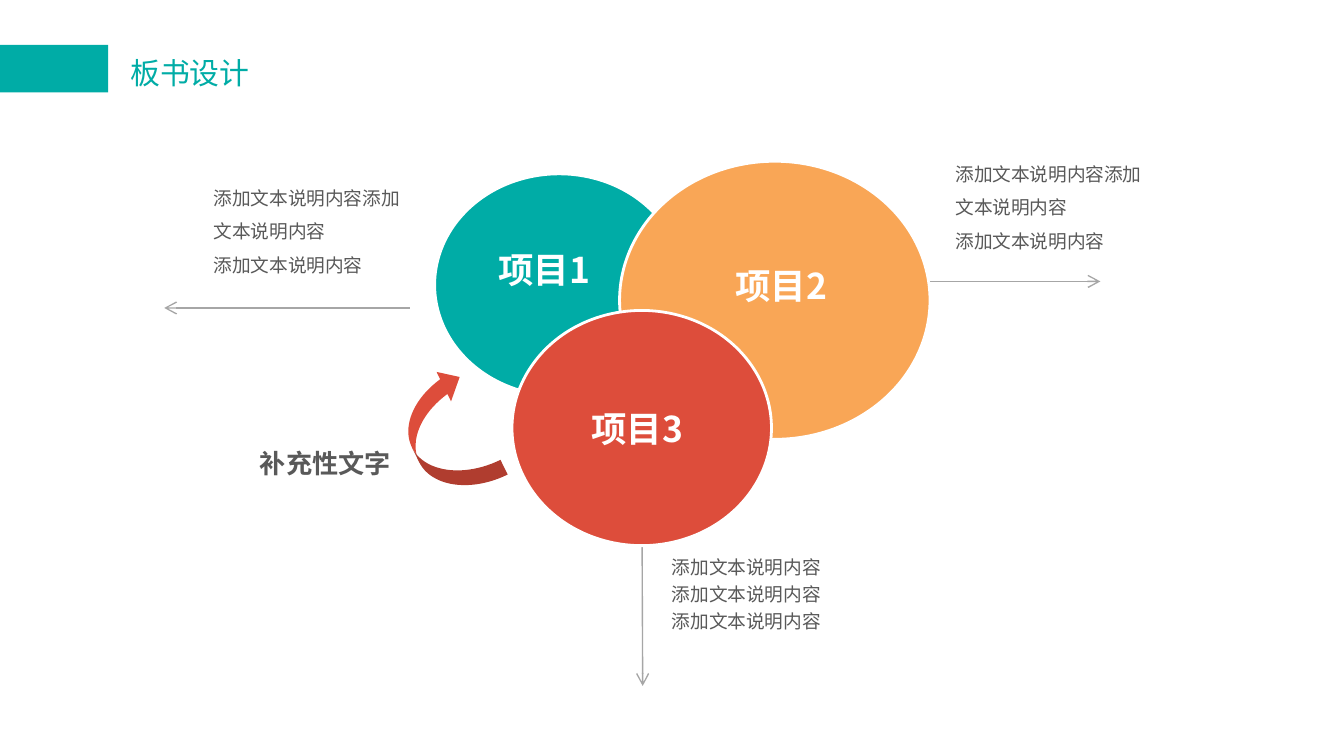
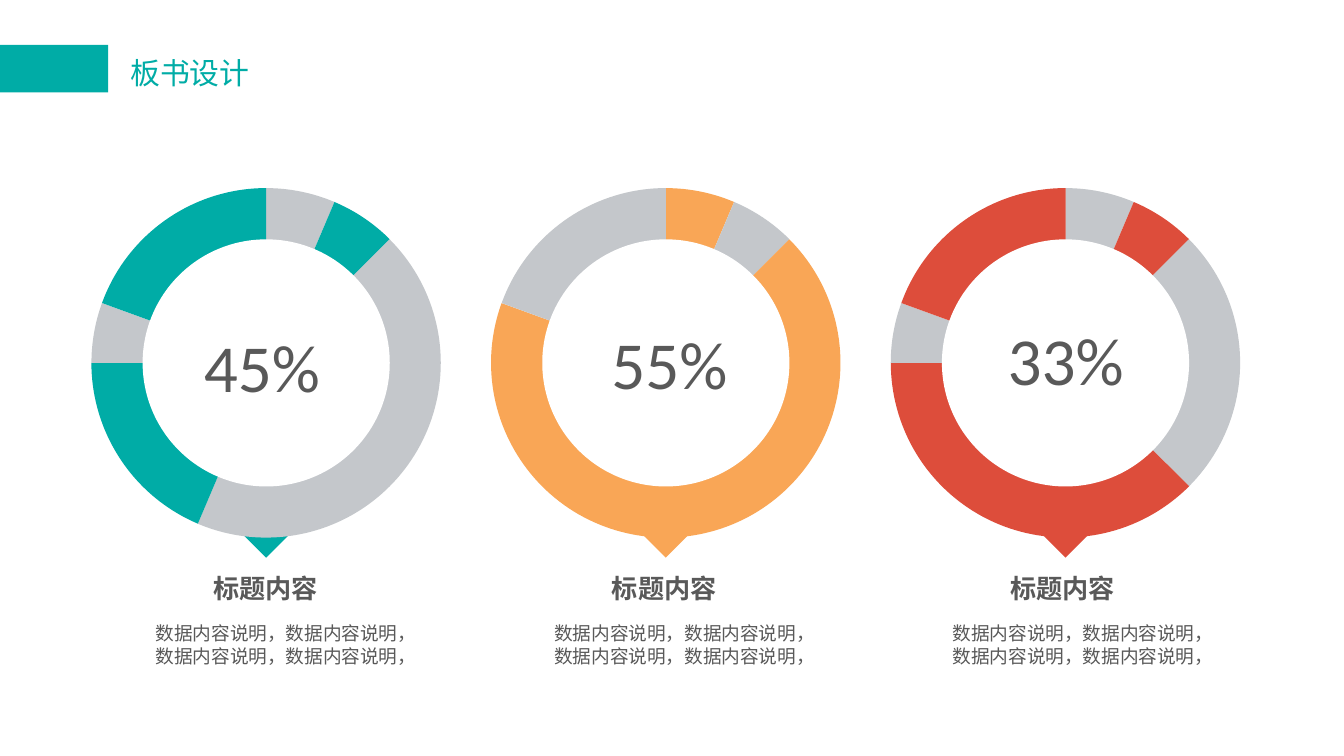
"""Build two slides: overlapping project circles and three ring diagrams."""
from math import cos, radians, sin

from lxml import etree
from pptx import Presentation
from pptx.dml.color import RGBColor
from pptx.enum.shapes import MSO_CONNECTOR, MSO_SHAPE
from pptx.enum.text import MSO_AUTO_SIZE, PP_ALIGN
from pptx.oxml.ns import qn
from pptx.util import Pt

RECT, OVAL, DIAMOND = MSO_SHAPE.RECTANGLE, MSO_SHAPE.OVAL, MSO_SHAPE.DIAMOND
CURVED_ARROW = MSO_SHAPE.CURVED_LEFT_ARROW
STRAIGHT = MSO_CONNECTOR.STRAIGHT
LEFT, CENTER = PP_ALIGN.LEFT, PP_ALIGN.CENTER
NO_FIT = MSO_AUTO_SIZE.NONE

TEAL = RGBColor(0x00, 0xAC, 0xA6)
ORANGE = RGBColor(0xF9, 0xA6, 0x56)
RED = RGBColor(0xDD, 0x4D, 0x3B)
SILVER = RGBColor(0xC4, 0xC7, 0xCB)
LINE_GRAY = RGBColor(0xA6, 0xA6, 0xA6)
TEXT_GRAY = RGBColor(0x59, 0x59, 0x59)
WHITE = RGBColor(0xFF, 0xFF, 0xFF)
CALIBRI, LATO, NOTO = "Calibri", "Lato", "Noto Sans CJK SC"


def paint(sp, fill, line_width=0):
    sp.shadow.inherit = False
    sp.fill.solid()
    sp.fill.fore_color.rgb = fill
    if line_width:
        sp.line.color.rgb = WHITE
        sp.line.width = Pt(line_width)
    else:
        sp.line.fill.background()


def add_text(s, box, text, size, font, color=TEXT_GRAY, bold=False,
             align=LEFT, spacing=None, inset=6.5, wrap=True):
    tf = s.shapes.add_textbox(*map(Pt, box)).text_frame
    tf.word_wrap = wrap
    tf.auto_size = NO_FIT
    tf.margin_left = tf.margin_right = Pt(inset)
    tf.margin_top = tf.margin_bottom = Pt(inset / 2)
    tf.text = text
    for p in tf.paragraphs:
        p.alignment = align
        p.line_spacing = spacing
        for r in p.runs:
            r.font.size = Pt(size)
            r.font.name = font
            r.font.bold = bold
            r.font.color.rgb = color


prs = Presentation()
prs.slide_width, prs.slide_height = Pt(720), Pt(405)
projects, rings = [prs.slides.add_slide(prs.slide_layouts[6]) for _ in range(2)]

for s in (projects, rings):
    band = s.shapes.add_shape(RECT, 0, Pt(24), Pt(58), Pt(25.5))
    paint(band, TEAL)
    add_text(s, (64, 26.6, 75.6, 25.2), "板书设计", 16, CALIBRI, TEAL, inset=5.8, wrap=False)

for x1, y1, x2, y2 in [(469.5, 150.8, 589.5, 150.8), (344, 292.3, 344.3, 367.5),
                       (219.6, 165, 88, 165)]:
    arrow = projects.shapes.add_connector(STRAIGHT, Pt(x1), Pt(y1), Pt(x2), Pt(y2))
    arrow.line.color.rgb = LINE_GRAY
    arrow.line.width = Pt(0.75)
    etree.SubElement(arrow.line._get_or_add_ln(), qn("a:tailEnd"), type="arrow")
    etree.SubElement(arrow._element.spPr, qn("a:effectLst"))

for box, color, line_width in [((232.6, 92.9, 133.9, 119.5), TEAL, 2),
                               ((331.9, 86.4, 166.3, 149), ORANGE, 1.5),
                               ((274.3, 166.3, 139, 126), RED, 1.5)]:
    paint(projects.shapes.add_shape(OVAL, *map(Pt, box)), color, line_width)

item = "添加文本说明内容"
for x, y in [(505.4, 77.8), (108, 90.7)]:
    add_text(projects, (x, y, 121.7, 61.2), f"{item}{item}\n{item}", 10, CALIBRI, spacing=1.5)
add_text(projects, (353.5, 292.3, 141.8, 50.4), "\n".join([item] * 3), 10, NOTO, spacing=1.2)
for number, (x, y) in enumerate([(260.6, 129.6), (387.4, 138.2), (310.3, 214.6)], 1):
    add_text(projects, (x, y, 69.1, 29.5), f"项目{number}", 19, NOTO, WHITE, True)

loop_arrow = projects.shapes.add_shape(CURVED_ARROW, Pt(219.6), Pt(199.4), Pt(39.6), Pt(67))
loop_arrow.rotation = 153.8
for i, value in enumerate((0.222, 0.443, 0.25)):
    loop_arrow.adjustments[i] = value
paint(loop_arrow, RED)
add_text(projects, (121, 236.2, 106.6, 23.8), "补充性文字", 14, LATO, bold=True, align=CENTER)

CENTER_Y, OUTER, INNER, TIP = 194.4, 93.6, 66.2, 21.6
RINGS = [
    (TEAL, "45%", 102.2, 170.6,
     [(23, SILVER), (45, TEAL), (203, SILVER), (270, TEAL), (290, SILVER), (360, TEAL)]),
    (ORANGE, "55%", 320.4, 169.2,
     [(23, ORANGE), (45, SILVER), (270, ORANGE), (290, ORANGE), (360, SILVER)]),
    (RED, "33%", 532.8, 167,
     [(23, SILVER), (45, RED), (135, SILVER), (270, RED), (290, SILVER), (360, RED)]),
]
RINGS[1][4].pop(2)
for i, (color, percent, percent_x, percent_y, sectors) in enumerate(RINGS):
    cx = 142.6 + i * 214.1
    tip = rings.shapes.add_shape(DIAMOND, Pt(cx - TIP), Pt(277.2 - TIP), Pt(2 * TIP), Pt(2 * TIP))
    paint(tip, color)
    start = 0
    for end, sector_color in sectors:
        angles = [start, *(a for a in (90, 180, 270) if start < a < end), end]
        builder = rings.shapes.build_freeform(Pt(cx), Pt(CENTER_Y))
        builder.add_line_segments([(Pt(cx + OUTER * sin(radians(a))),
                                    Pt(CENTER_Y - OUTER * cos(radians(a)))) for a in angles])
        sector = builder.convert_to_shape()
        first, *chords = list(sector._element.iter(qn("a:lnTo")))[:len(angles)]
        for chord in chords:
            chord.getparent().remove(chord)
        radius = str(Pt(OUTER))
        first.addnext(etree.Element(qn("a:arcTo"), wR=radius, hR=radius,
                                    stAng=str((start + 270) % 360 * 60000),
                                    swAng=str((end - start) * 60000)))
        paint(sector, sector_color)
        start = end
    hole = rings.shapes.add_shape(OVAL, Pt(cx - INNER), Pt(CENTER_Y - INNER),
                                  Pt(2 * INNER), Pt(2 * INNER))
    paint(hole, WHITE)
    add_text(rings, (percent_x, percent_y, 83.5, 51.1), percent, 36, CALIBRI, inset=7.2)
    x = 107.2 + i * 213.5
    add_text(rings, (x, 303.1, 70.6, 24.5), "标题内容", 14, NOTO, bold=True, inset=7.2)
    add_text(rings, (x - 30.9, 329.8, 149.8, 31.7), "数据内容说明，" * 4, 10, NOTO, inset=7.2)

prs.save("out.pptx")
